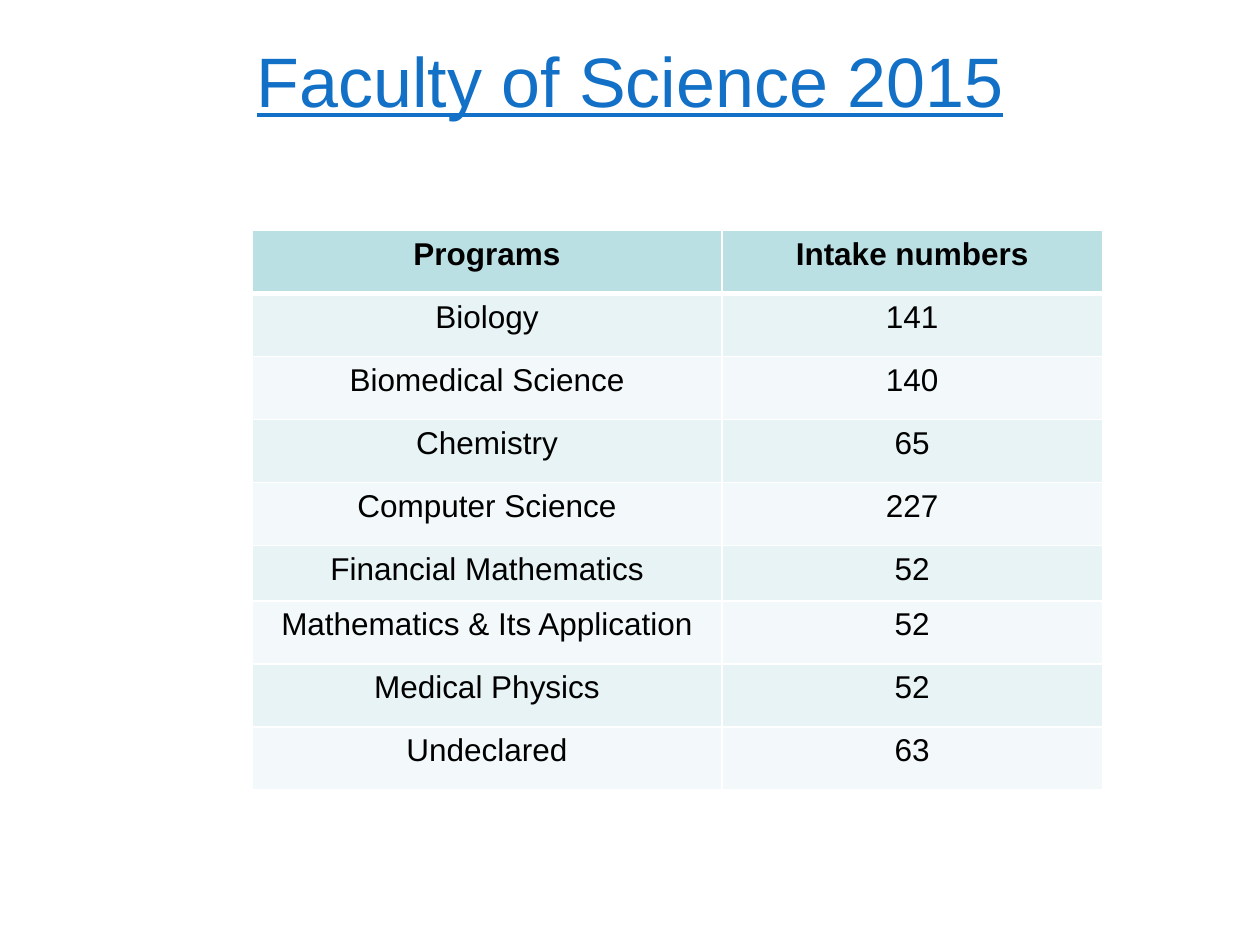
from pptx import Presentation
from pptx.dml.color import RGBColor
from pptx.enum.text import MSO_ANCHOR, PP_ALIGN
from pptx.oxml import parse_xml
from pptx.oxml.ns import nsdecls
from pptx.util import Inches, Pt

BLUE = RGBColor(0x12, 0x70, 0xC6)
BLACK = RGBColor(0, 0, 0)
WHITE = RGBColor(0xFF, 0xFF, 0xFF)
HEADER = RGBColor(0xBB, 0xE0, 0xE3)
BANDS = (RGBColor(0xF3, 0xF9, 0xFA), RGBColor(0xE7, 0xF3, 0xF4))

INTAKE = [
    ("Programs", "Intake numbers"),
    ("Biology", "141"),
    ("Biomedical Science", "140"),
    ("Chemistry", "65"),
    ("Computer Science", "227"),
    ("Financial Mathematics", "52"),
    ("Mathematics & Its Application", "52"),
    ("Medical Physics", "52"),
    ("Undeclared", "63"),
]
SHORT_ROW = 5


def write(tf, text, color, **formats):
    """Put one centred run of Arial text in a text frame."""
    p = tf.paragraphs[0]
    p.alignment = PP_ALIGN.CENTER
    r = p.add_run()
    r.text = text
    r.font.color.rgb = color
    for name, value in {"name": "Arial", **formats}.items():
        setattr(r.font, name, value)


def set_borders(cell, widths):
    """Draw white borders of the given point widths on a cell."""
    tcPr = cell._tc.get_or_add_tcPr()
    for i, (side, width) in enumerate(widths.items()):
        tcPr.insert(i, parse_xml(
            f'<a:ln{side} {nsdecls("a")} w="{Pt(width)}"><a:solidFill>'
            f'<a:srgbClr val="{WHITE}"/></a:solidFill></a:ln{side}>'))


def add_title(s, left, top, width, height):
    """Place the underlined slide title."""
    tf = s.shapes.add_textbox(left, top, width, height).text_frame
    formats = {"word_wrap": True, "vertical_anchor": MSO_ANCHOR.TOP, "margin_top": 0}
    for name, value in formats.items():
        setattr(tf, name, value)
    write(tf, "Faculty of Science 2015", BLUE, size=Pt(40), underline=True)


def add_intake_table(s, left, top, widths, row_height, short_height):
    """Place the banded table of intake numbers by program."""
    height = row_height * (len(INTAKE) - 1) + short_height
    table = s.shapes.add_table(
        len(INTAKE), len(widths), left, top, sum(widths), height).table
    for column, width in zip(table.columns, widths):
        column.width = width
    for i, values in enumerate(INTAKE):
        table.rows[i].height = short_height if i == SHORT_ROW else row_height
        for j, text in enumerate(values):
            cell = table.cell(i, j)
            cell.fill.solid()
            cell.fill.fore_color.rgb = BANDS[i % 2] if i else HEADER
            set_borders(cell, {"L": 1, "R": 1, "T": 3 if i == 1 else 1, "B": 1 if i else 3})
            write(cell.text_frame, text, BLACK, size=Pt(18), bold=i == 0)


def main():
    """Build and save the slide."""
    prs = Presentation()
    prs.slide_width, prs.slide_height = Inches(10), Inches(7.5)
    s = prs.slides.add_slide(prs.slide_layouts[6])
    add_title(s, Inches(0.5), Inches(0.3), Inches(9), Inches(1.25))
    add_intake_table(s, Inches(2), Inches(1.83), (Inches(3.73), Inches(3.02)),
                     Inches(0.5), Inches(0.44))
    prs.save("out.pptx")


if __name__ == "__main__":
    main()
